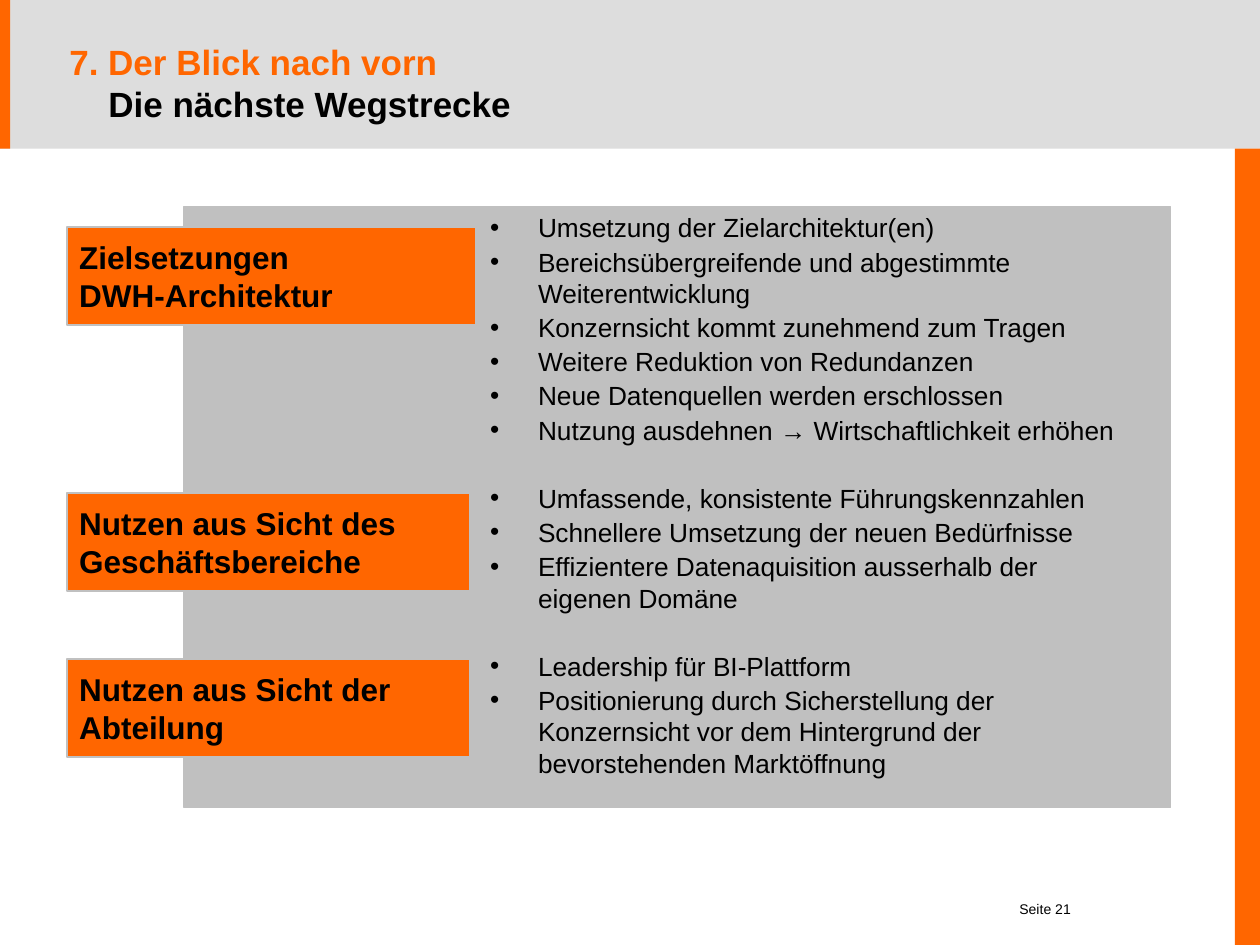
from dataclasses import dataclass

from lxml import etree
from pptx import Presentation
from pptx import util as u
from pptx.dml.color import RGBColor
from pptx.enum import shapes, text
from pptx.oxml.ns import qn

COLORS = {
    "orange": "FF6600",
    "band": "DDDDDD",
    "panel": "C0C0C0",
    "black": "000000",
}
FONT = "Arial"
LINE_FACTOR = 1.2


@dataclass
class Block:
    left: float
    top: float
    width: float
    height: float
    fill: str
    line: str | None = None


@dataclass
class Topic:
    top: float
    width: float
    heading: list[str]
    bullets: list[str]


BLOCKS = [
    Block(0, 0, 10, 1.18, "band"),
    Block(0, 0, 0.08, 1.18, "orange"),
    Block(9.8, 1.18, 0.2, 6.32, "orange"),
    Block(1.46, 1.64, 7.83, 4.77, "panel", "panel"),
]

TOPICS = [
    Topic(1.8, 3.25, ["Zielsetzungen", "DWH-Architektur"], [
        "Umsetzung der Zielarchitektur(en)",
        "Bereichsübergreifende und abgestimmte Weiterentwicklung",
        "Konzernsicht kommt zunehmend zum Tragen",
        "Weitere Reduktion von Redundanzen",
        "Neue Datenquellen werden erschlossen",
        "Nutzung ausdehnen → Wirtschaftlichkeit erhöhen",
    ]),
    Topic(3.91, 3.2, ["Nutzen aus Sicht des", "Geschäftsbereiche"], [
        "Umfassende, konsistente Führungskennzahlen",
        "Schnellere Umsetzung der neuen Bedürfnisse",
        "Effizientere Datenaquisition ausserhalb der eigenen Domäne",
    ]),
    Topic(5.23, 3.2, ["Nutzen aus Sicht der", "Abteilung"], [
        "Leadership für BI-Plattform",
        "Positionierung durch Sicherstellung der Konzernsicht vor dem "
        "Hintergrund der bevorstehenden Marktöffnung",
    ]),
]


def rgb(name: str) -> RGBColor:
    return RGBColor.from_string(COLORS[name])


def add_block(s, block: Block):
    sp = s.shapes.add_shape(
        shapes.MSO_SHAPE.RECTANGLE, u.Inches(block.left), u.Inches(block.top),
        u.Inches(block.width), u.Inches(block.height))
    sp.shadow.inherit = False
    sp.fill.solid()
    sp.fill.fore_color.rgb = rgb(block.fill)
    if block.line:
        sp.line.color.rgb = rgb(block.line)
        sp.line.width = u.Pt(1)
    else:
        sp.line.fill.background()
    return sp


def add_text_frame(s, left: float, top: float, width: float, height: float,
                   wrap: bool = True):
    tf = s.shapes.add_textbox(u.Inches(left), u.Inches(top),
                              u.Inches(width), u.Inches(height)).text_frame
    tf.margin_left = tf.margin_right = tf.margin_top = tf.margin_bottom = 0
    tf.word_wrap = wrap
    return tf


def next_paragraph(tf, index: int):
    return tf.add_paragraph() if index else tf.paragraphs[0]


def set_hanging(p, indent: float) -> None:
    props = p._p.get_or_add_pPr()
    props.set("marL", str(u.Inches(indent)))
    props.set("indent", str(-u.Inches(indent)))


def add_bullet(p) -> None:
    props = p._p.get_or_add_pPr()
    etree.SubElement(props, qn("a:buFont")).set("typeface", FONT)
    etree.SubElement(props, qn("a:buChar")).set("char", "•")


def add_run(p, words: str, size: float, color: str = "black",
            bold: bool = False) -> None:
    r = p.add_run()
    r.text = words
    r.font.name = FONT
    r.font.size = u.Pt(size)
    r.font.bold = bold
    r.font.color.rgb = rgb(color)
    p.line_spacing = u.Pt(size * LINE_FACTOR)


def add_title(s) -> None:
    tf = add_text_frame(s, 0.55, 0.39, 8.71, 0.53)
    tf.vertical_anchor = text.MSO_ANCHOR.MIDDLE
    p = tf.paragraphs[0]
    set_hanging(p, 0.31)
    add_run(p, "7. Der Blick nach vorn", 20, "orange", True)
    p.add_line_break()
    add_run(p, "Die nächste Wegstrecke", 20, "black", True)


def add_bullets(s, topics: list[Topic]) -> None:
    size = 15
    gap = size * 0.1
    tf = add_text_frame(s, 3.89, 1.68, 5.08, 5.12)
    count = 0
    for topic in topics:
        for position, words in enumerate(topic.bullets):
            p = next_paragraph(tf, count)
            set_hanging(p, 0.38)
            add_bullet(p)
            add_run(p, words, size)
            if count:
                p.space_before = u.Pt(
                    gap if position else 2 * gap + size * LINE_FACTOR)
            count += 1


def add_label(s, topic: Topic) -> None:
    sp = add_block(s, Block(0.53, topic.top, topic.width, 0.78,
                            "orange", "panel"))
    tf = sp.text_frame
    tf.word_wrap = False
    tf.vertical_anchor = text.MSO_ANCHOR.MIDDLE
    for index, words in enumerate(topic.heading):
        p = next_paragraph(tf, index)
        p.alignment = text.PP_ALIGN.LEFT
        add_run(p, words, 18, bold=True)


def add_page_number(s) -> None:
    p = add_text_frame(s, 7.99, 7.15, 0.51, 0.13, wrap=False).paragraphs[0]
    p.alignment = text.PP_ALIGN.RIGHT
    add_run(p, "Seite 21", 8)


def main() -> None:
    prs = Presentation()
    prs.slide_width = u.Inches(10)
    prs.slide_height = u.Inches(7.5)
    s = prs.slides.add_slide(prs.slide_layouts[6])
    for block in BLOCKS:
        add_block(s, block)
    add_page_number(s)
    add_title(s)
    add_bullets(s, TOPICS)
    for topic in TOPICS:
        add_label(s, topic)
    prs.save("out.pptx")


if __name__ == "__main__":
    main()
